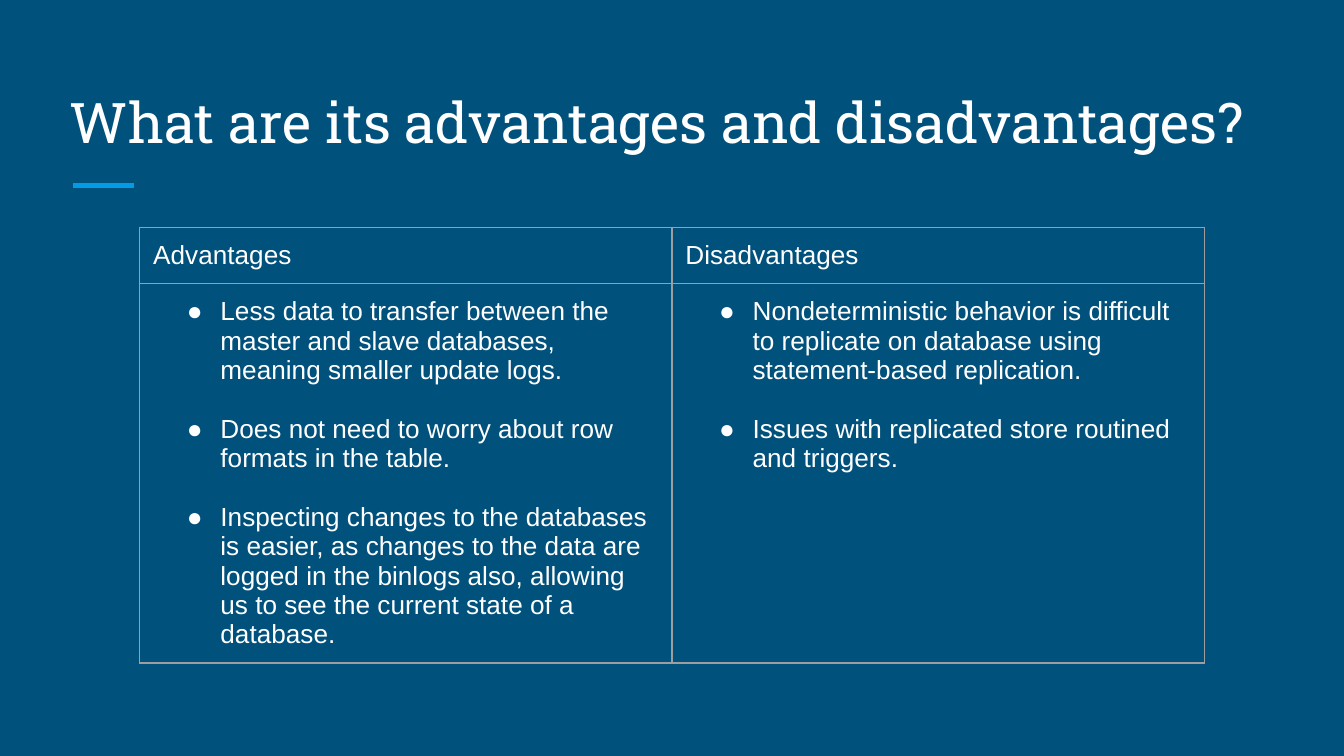
from lxml import etree
from pptx import Presentation
from pptx.dml.color import RGBColor
from pptx.enum.shapes import MSO_CONNECTOR
from pptx.enum.text import MSO_ANCHOR, MSO_AUTO_SIZE, PP_ALIGN
from pptx.oxml import parse_xml
from pptx.oxml.ns import nsdecls, qn
from pptx.util import Inches, Pt

STRAIGHT = MSO_CONNECTOR.STRAIGHT
BOTTOM, TOP = MSO_ANCHOR.BOTTOM, MSO_ANCHOR.TOP
LEFT = PP_ALIGN.LEFT
NO_AUTOFIT = MSO_AUTO_SIZE.NONE

COLORS = {"background": "00517C", "accent": "039BE5", "text": "FFFFFF", "border": "9E9E9E"}
TITLE_FONT = {"name": "Roboto Slab", "size": Pt(30), "bold": False}
TABLE_FONT = {"name": "Arial", "size": Pt(14), "bold": False}
MARGINS = {f"margin_{side}": Inches(0.1) for side in ("left", "right", "top", "bottom")}
ITEM_GAP = Pt(15.75)  # one line of table text

COLUMNS = {
    "Advantages": [
        "Less data to transfer between the master and slave databases, meaning smaller update logs.",
        "Does not need to worry about row formats in the table.",
        "Inspecting changes to the databases is easier, as changes to the data are logged "
        "in the binlogs also, allowing us to see the current state of a database.",
    ],
    "Disadvantages": [
        "Nondeterministic behavior is difficult to replicate on database using "
        "statement-based replication.",
        "Issues with replicated store routined and triggers.",
    ],
}


def color(name):
    return RGBColor.from_string(COLORS[name])


def set_attributes(target, values):
    for name, value in values.items():
        setattr(target, name, value)


def add_text(para, text, font):
    para.alignment = LEFT
    span = para.add_run()
    span.text = text
    set_attributes(span.font, font)
    span.font.color.rgb = color("text")


def add_title(page, text):
    title = page.shapes.title
    set_attributes(title, {"left": Inches(0.42), "top": Inches(0.5),
                           "width": Inches(9.15), "height": Inches(0.75)})
    frame = title.text_frame
    set_attributes(frame, {**MARGINS, "word_wrap": True, "auto_size": NO_AUTOFIT,
                           "vertical_anchor": BOTTOM})
    add_text(frame.paragraphs[0], text, TITLE_FONT)


def add_accent_line(page):
    y = Inches(1.38)
    rule = page.shapes.add_connector(STRAIGHT, Inches(0.54), y, Inches(1), y)
    rule.line.color.rgb = color("accent")
    rule.line.width = Pt(3)
    etree.SubElement(rule._element.spPr, qn("a:effectLst"))


def add_bullet(para):
    properties = para._p.get_or_add_pPr()
    properties.set("marL", str(Inches(0.5)))
    properties.set("indent", str(Inches(-0.25)))
    for xml in (
        f'<a:buClr {nsdecls("a")}><a:srgbClr val="{COLORS["text"]}"/></a:buClr>',
        f'<a:buFont {nsdecls("a")} typeface="Arial"/>',
        f'<a:buChar {nsdecls("a")} char="●"/>',
    ):
        properties.append(parse_xml(xml))


def format_cell(cell):
    set_attributes(cell, {**MARGINS, "vertical_anchor": TOP})
    cell.fill.background()
    # Border lines come before the fill in the cell properties
    properties = cell._tc.get_or_add_tcPr()
    for index, side in enumerate("LRTB"):
        properties.insert(index, parse_xml(
            f'<a:ln{side} {nsdecls("a")} w="{Pt(0.75)}"><a:solidFill>'
            f'<a:srgbClr val="{COLORS["border"]}"/></a:solidFill></a:ln{side}>'))


def fill_list(cell, items):
    frame = cell.text_frame
    for index, item in enumerate(items):
        para = frame.add_paragraph() if index else frame.paragraphs[0]
        add_bullet(para)
        if index:
            para.space_before = ITEM_GAP
        add_text(para, item, TABLE_FONT)


def add_comparison_table(page):
    heights = [Inches(0.42), Inches(2.82)]
    column_width = Inches(3.96)
    table = page.shapes.add_table(
        len(heights), len(COLUMNS), Inches(1.04), Inches(1.69),
        column_width * len(COLUMNS), sum(heights)).table
    set_attributes(table, {"first_row": False, "horz_banding": False})
    for row, height in zip(table.rows, heights):
        row.height = height
    for index, (heading, items) in enumerate(COLUMNS.items()):
        table.columns[index].width = column_width
        head, body = table.cell(0, index), table.cell(1, index)
        format_cell(head)
        format_cell(body)
        add_text(head.text_frame.paragraphs[0], heading, TABLE_FONT)
        fill_list(body, items)


def main():
    deck = Presentation()
    deck.slide_width = Inches(10)
    deck.slide_height = deck.slide_width * 9 // 16
    page = deck.slides.add_slide(deck.slide_layouts[5])  # title only
    page.background.fill.solid()
    page.background.fill.fore_color.rgb = color("background")

    add_accent_line(page)
    add_title(page, "What are its advantages and disadvantages?")
    add_comparison_table(page)
    deck.save("out.pptx")


if __name__ == "__main__":
    main()
